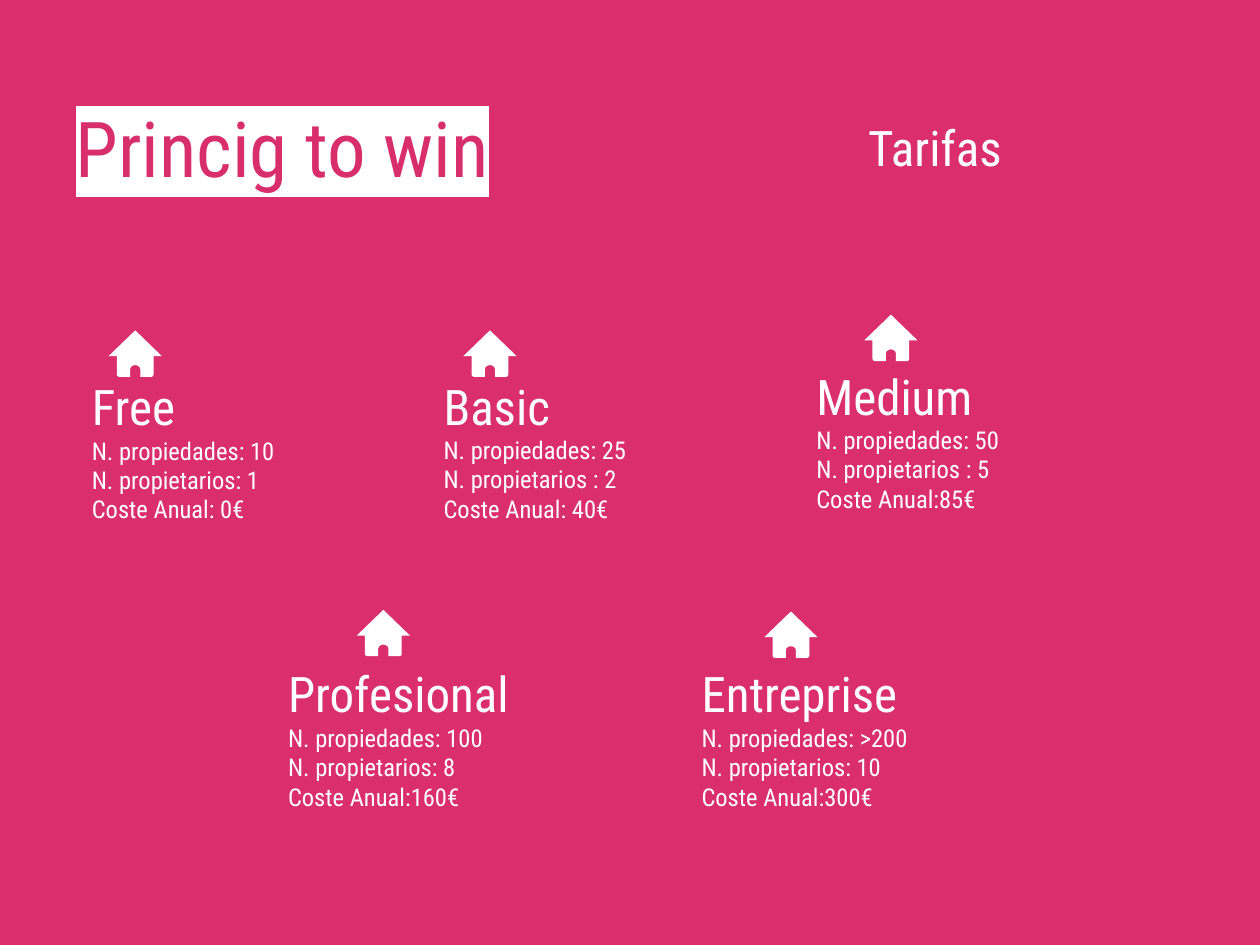
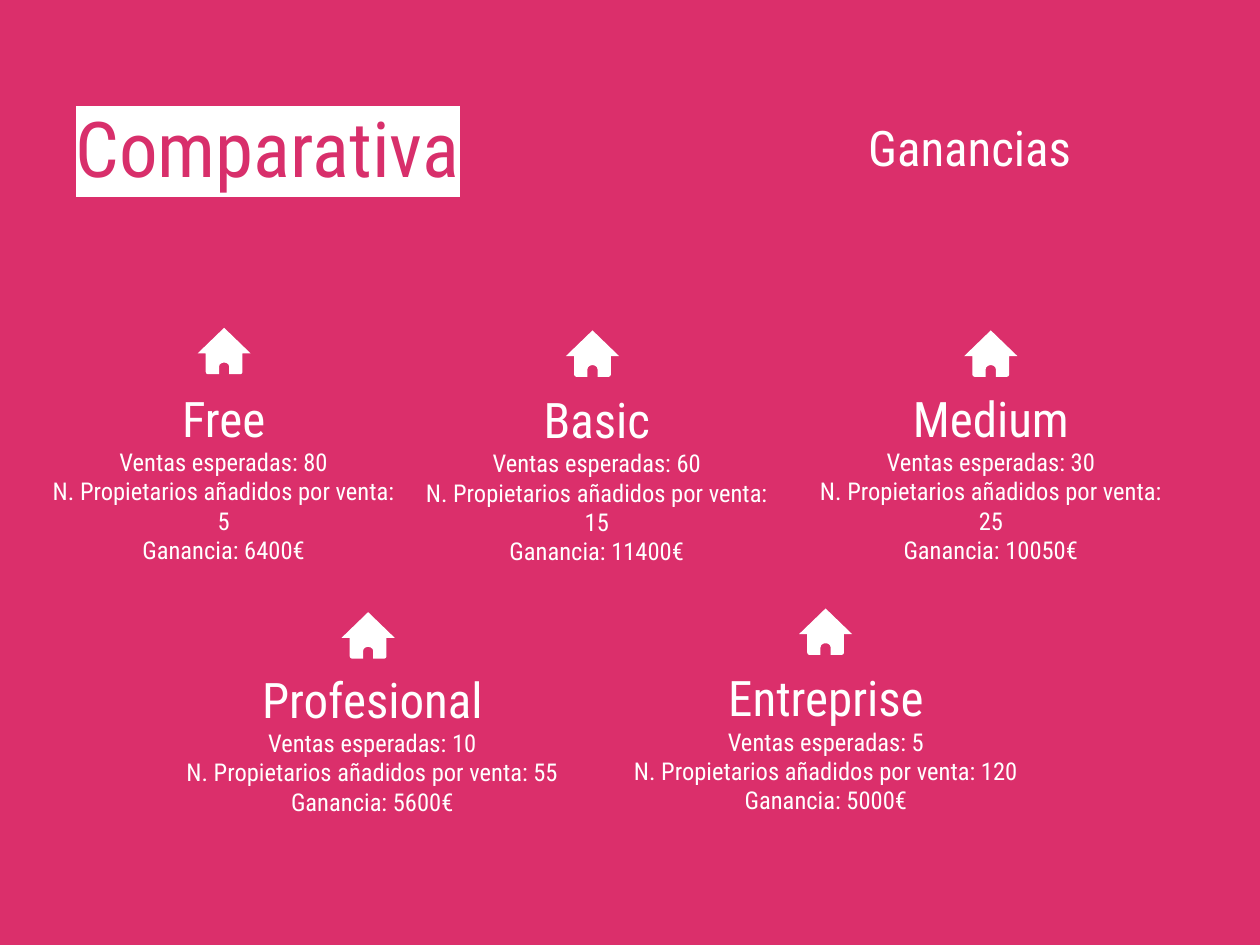
from dataclasses import dataclass

from lxml import etree
from pptx import Presentation
from pptx.dml.color import RGBColor
from pptx.enum.text import MSO_ANCHOR, MSO_AUTO_SIZE, PP_ALIGN
from pptx.oxml.ns import qn
from pptx.util import Pt

LEFT, CENTER = PP_ALIGN.LEFT, PP_ALIGN.CENTER
TOP = MSO_ANCHOR.TOP
NO_AUTOFIT = MSO_AUTO_SIZE.NONE


@dataclass(frozen=True)
class Theme:
    font: str = "Roboto Condensed"
    background: str = "DB2F6B"
    title_color: str = "D82F6B"
    light: str = "FFFFFF"
    title_size: int = 44
    heading_size: int = 28
    detail_size: int = 14
    inset: float = 7.2


@dataclass(frozen=True)
class Plan:
    """A price plan: house is (left, top), box is (left, top, width)."""
    name: str
    details: tuple
    house: tuple
    box: tuple


# Left half of the house, from the roof tip to the top of the door, in tenths of a point
HOUSE_WIDTH = 304
HOUSE_HALF = [(152, 0), (0, 147), (47, 147), (47, 252), (50, 261), (58, 265),
              (123, 265), (123, 222), (127, 210), (137, 202), (147, 199)]
HOUSE_OUTLINE = HOUSE_HALF + [(HOUSE_WIDTH - x, y) for x, y in HOUSE_HALF[:0:-1]]

PLAN_HEIGHT = 122

RATES = [
    Plan("Free", ("N. propiedades: 10", "N. propietarios: 1", "Coste Anual: 0€"),
         (62.1, 188.8), (45.4, 208.1, 132.5)),
    Plan("Basic", ("N. propiedades: 25", "N. propietarios : 2", "Coste Anual: 40€"),
         (264.8, 188.8), (246.4, 207.8, 144.7)),
    Plan("Medium", ("N. propiedades: 50", "N. propietarios : 5", "Coste Anual:85€"),
         (493.9, 179.8), (459.4, 202.0, 144.7)),
    Plan("Profesional", ("N. propiedades: 100", "N. propietarios: 8", "Coste Anual:160€"),
         (203.9, 348.5), (157.5, 372.2, 172.1)),
    Plan("Entreprise", ("N. propiedades: >200", "N. propietarios: 10", "Coste Anual:300€"),
         (436.8, 349.4), (393.8, 372.2, 172.1)),
]

EARNINGS = [
    Plan("Free", ("Ventas esperadas: 80", "N. Propietarios añadidos por venta: 5",
                  "Ganancia: 6400€"),
         (112.9, 187.3), (21.6, 214.6, 212.4)),
    Plan("Basic", ("Ventas esperadas: 60", "N. Propietarios añadidos por venta: 15",
                   "Ganancia: 11400€"),
         (323.4, 188.8), (234.5, 215.3, 213.1)),
    Plan("Medium", ("Ventas esperadas: 30", "N. Propietarios añadidos por venta: 25",
                    "Ganancia: 10050€"),
         (551, 188.8), (458.6, 214.6, 215.3)),
    Plan("Profesional", ("Ventas esperadas: 10", "N. Propietarios añadidos por venta: 55",
                         "Ganancia: 5600€"),
         (195.2, 349.8), (97.9, 375.1, 229.7)),
    Plan("Entreprise", ("Ventas esperadas: 5", "N. Propietarios añadidos por venta: 120",
                        "Ganancia: 5000€"),
         (456.6, 347.7), (310.3, 374.4, 323.3)),
]


class DeckBuilder:
    def __init__(self, theme):
        self.theme = theme
        self.deck = Presentation()
        self.deck.slide_width, self.deck.slide_height = Pt(720), Pt(540)
        self.slide = None
        self.fill(self.deck.slide_master.background.fill, theme.background)

    def fill(self, fill, color):
        fill.solid()
        fill.fore_color.rgb = RGBColor.from_string(color)

    def add_slide(self, title, subtitle):
        self.slide = self.deck.slides.add_slide(self.deck.slide_layouts[0])
        self.add_title(title)
        self.place(self.slide.placeholders[1], 488.9, 59.8, 173.5, 41.8)
        self.set_lines(self.slide.placeholders[1], [(subtitle, self.theme.heading_size)])

    def place(self, shape, left, top, width, height):
        shape.left, shape.top = Pt(left), Pt(top)
        shape.width, shape.height = Pt(width), Pt(height)

    def set_lines(self, shape, lines, align=LEFT, color=None):
        """Fill a shape with (text, size) lines, one paragraph each."""
        frame = shape.text_frame
        frame.text = "\n".join(text for text, size in lines)
        frame.word_wrap = True
        frame.auto_size = NO_AUTOFIT
        frame.vertical_anchor = TOP
        frame.margin_left = frame.margin_right = Pt(self.theme.inset)
        frame.margin_top = frame.margin_bottom = Pt(self.theme.inset)
        for para, (text, size) in zip(frame.paragraphs, lines):
            para.alignment = align
            para.space_before = Pt(0)
            font = para.runs[0].font
            font.name, font.size = self.theme.font, Pt(size)
            self.fill(font.fill, color or self.theme.light)

    def add_title(self, text):
        title = self.slide.shapes.title
        self.place(title, 36, 50.4, 406, 65.5)
        self.set_lines(title, [(text, self.theme.title_size)], color=self.theme.title_color)
        span = title.text_frame.paragraphs[0].runs[0]
        self.highlight(span, self.theme.light)

    def highlight(self, span, color):
        mark = etree.Element(qn("a:highlight"))
        etree.SubElement(mark, qn("a:srgbClr"), val=color)
        span._r.rPr.find(qn("a:solidFill")).addnext(mark)

    def add_house(self, left, top):
        start, *rest = HOUSE_OUTLINE
        builder = self.slide.shapes.build_freeform(*start, scale=Pt(0.1))
        builder.add_line_segments(rest, close=True)
        house = builder.convert_to_shape(Pt(left), Pt(top))
        house.shadow.inherit = False
        self.fill(house.fill, self.theme.light)
        house.line.fill.background()

    def add_plan(self, plan, align):
        left, top, width = plan.box
        box = self.slide.shapes.add_textbox(Pt(left), Pt(top), Pt(width), Pt(PLAN_HEIGHT))
        details = [(text, self.theme.detail_size) for text in plan.details]
        self.set_lines(box, [(plan.name, self.theme.heading_size)] + details, align)
        self.add_house(*plan.house)


def main():
    builder = DeckBuilder(Theme())
    for title, subtitle, plans, align in [
        ("Princig to win", "Tarifas", RATES, LEFT),
        ("Comparativa", "Ganancias", EARNINGS, CENTER),
    ]:
        builder.add_slide(title, subtitle)
        for plan in plans:
            builder.add_plan(plan, align)
    builder.deck.save("out.pptx")


if __name__ == "__main__":
    main()
